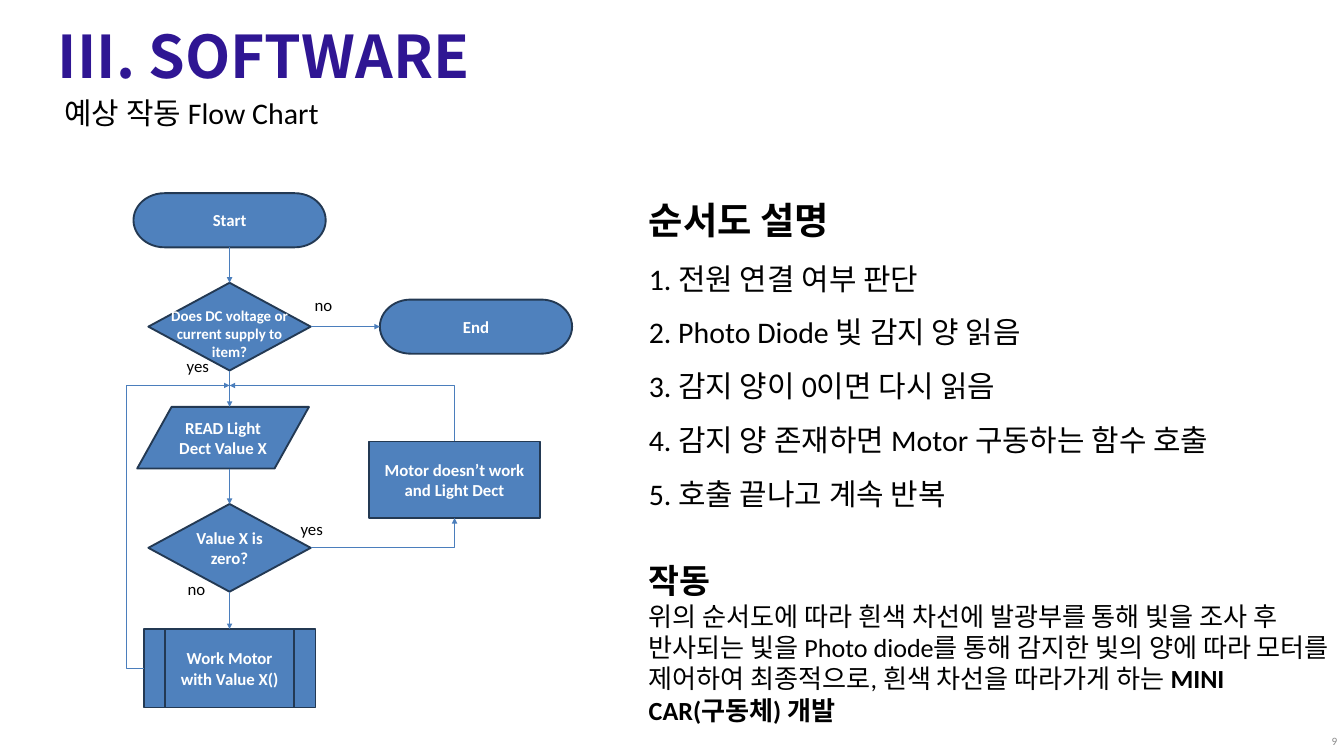
from pptx import Presentation
from pptx.dml.color import RGBColor
from pptx.enum.shapes import MSO_CONNECTOR as CONN, MSO_SHAPE as SHAPE
from pptx.enum.text import MSO_ANCHOR as ANCHOR, MSO_AUTO_SIZE as FIT, PP_ALIGN as ALIGN
from pptx.oxml.ns import qn
from pptx.util import Pt
from lxml import etree

COLORS = {
    "title": "2F1693", "text": "000000", "node": "4F81BD", "border": "233953",
    "arrow": "4B7EBC", "white": "FFFFFF", "number": "8C8C8C",
}
STEPS = [
    "1. 전원 연결 여부 판단",
    "2. Photo Diode 빛 감지 양 읽음",
    "3. 감지 양이 0이면 다시 읽음",
    "4. 감지 양 존재하면 Motor 구동하는 함수 호출",
    "5. 호출 끝나고 계속 반복",
]


def rgb(name):
    return RGBColor.from_string(COLORS[name])


def add_run(p, text, size, color="text", bold=False, font="Calibri"):
    r = p.add_run()
    r.text = text
    for name, value in {"size": Pt(size), "bold": bold, "name": font}.items():
        setattr(r.font, name, value)
    r.font.color.rgb = rgb(color)


def set_box(sp, box):
    for name, value in zip(("left", "top", "width", "height"), box):
        setattr(sp, name, Pt(value))


def add_text(slide, box, text, size, color="text", bold=False, align=ALIGN.LEFT,
             wrap=True, anchor=ANCHOR.TOP):
    tf = slide.shapes.add_textbox(*map(Pt, box)).text_frame
    tf.word_wrap, tf.vertical_anchor = wrap, anchor
    p = tf.paragraphs[0]
    p.alignment = align
    add_run(p, text, size, color, bold)
    return tf


def add_title(slide, box):
    sp = slide.shapes.title
    set_box(sp, box)
    tf = sp.text_frame
    values = {"margin_left": 0, "margin_right": 0, "margin_top": 0, "margin_bottom": 0,
              "vertical_anchor": ANCHOR.TOP, "auto_size": FIT.NONE, "word_wrap": True}
    for name, value in values.items():
        setattr(tf, name, value)
    p = tf.paragraphs[0]
    p.alignment, p.line_spacing = ALIGN.LEFT, Pt(70)
    add_run(p, "III. SOFTWARE", 63, "title", True, "Noto Sans CJK KR")


def add_steps(slide, box):
    sp = slide.placeholders[1]
    set_box(sp, box)
    tf = sp.text_frame
    tf.word_wrap, tf.auto_size = False, FIT.NONE
    for i, text in enumerate(["순서도 설명"] + STEPS):
        p = tf.add_paragraph() if i else tf.paragraphs[0]
        pPr = p._p.get_or_add_pPr()
        pPr.set("marL", "0")
        pPr.set("indent", "0")
        etree.SubElement(pPr, qn("a:buNone"))
        p.line_spacing, p.space_before = 1.5, Pt(0)
        add_run(p, text, 32 if i else 40, bold=i == 0)


def add_operation(slide, box):
    tf = add_text(slide, box, "작동", 36, bold=True)
    p = tf.add_paragraph()
    add_run(p, "위의 순서도에 따라 흰색 차선에 발광부를 통해 빛을 조사 후 반사되는 빛을 "
               "Photo diode를 통해 감지한 빛의 양에 따라 모터를 제어하여 최종적으로, "
               "흰색 차선을 따라가게 하는 ", 28)
    add_run(p, "MINI CAR(구동체) 개발", 28, bold=True)


def add_node(slide, kind, box, text):
    sp = slide.shapes.add_shape(kind, *map(Pt, box))
    sp.shadow.inherit = False
    sp.fill.solid()
    sp.fill.fore_color.rgb = rgb("node")
    sp.line.color.rgb = rgb("border")
    sp.line.width = Pt(2)
    tf = sp.text_frame
    tf.word_wrap, tf.vertical_anchor = True, ANCHOR.MIDDLE
    if text:
        p = tf.paragraphs[0]
        p.alignment = ALIGN.CENTER
        add_run(p, text, 18, "white", True)
    return sp


def add_arrow(slide, start, end, geometry="line", adjust=(), tip="tailEnd"):
    kind = CONN.STRAIGHT if geometry == "line" else CONN.ELBOW
    cn = slide.shapes.add_connector(kind, *map(Pt, start + end))
    cn.line.color.rgb = rgb("arrow")
    cn.line.width = Pt(0.75)
    spPr = cn._element.spPr
    etree.SubElement(cn.line._get_or_add_ln(), qn(f"a:{tip}"), type="triangle")
    etree.SubElement(spPr, qn("a:effectLst"))
    geom = spPr.find(qn("a:prstGeom"))
    geom.set("prst", geometry)
    for i, value in enumerate(adjust, 1):
        etree.SubElement(geom.find(qn("a:avLst")), qn("a:gd"),
                         name=f"adj{i}", fmla=f"val {value}")
    return cn


def add_flowchart(slide, left, top):
    def at(x, y, *size):
        return (left + x, top + y) + size

    mid = 103
    merge = at(mid, 206)
    nodes = {
        "start": (SHAPE.FLOWCHART_TERMINATOR, at(0, 0, 206, 58), "Start"),
        "end": (SHAPE.FLOWCHART_TERMINATOR, at(264, 114, 206, 58), "End"),
        "power": (SHAPE.DIAMOND, at(16, 96, 174, 94), ""),
        "read": (SHAPE.FLOWCHART_DATA, at(4, 229, 184, 66), "READ Light Dect Value X"),
        "zero": (SHAPE.DIAMOND, at(16, 333, 174, 94), "Value X is zero?"),
        "idle": (SHAPE.RECTANGLE, at(252, 266, 184, 82), "Motor doesn’t work and Light Dect"),
        "work": (SHAPE.FLOWCHART_PREDEFINED_PROCESS, at(11, 467, 184, 84),
                 "Work Motor with Value X()"),
    }
    sps = {name: add_node(slide, *node) for name, node in nodes.items()}
    add_text(slide, at(24, 118, 158, 87), "Does DC voltage or current supply to item?",
             16, "white", True, ALIGN.CENTER)

    straight = [
        ("start", 2, "power", 0, at(mid, 58), at(mid, 96)),
        ("power", 2, None, 0, at(mid, 190), at(mid, 229)),
        (None, 2, "zero", 0, at(mid, 295), at(mid, 333)),
        ("zero", 2, "work", 0, at(mid, 427), at(mid, 467)),
        ("power", 3, "end", 1, at(190, 143), at(264, 143)),
    ]
    for source, out, target, into, start, end in straight:
        cn = add_arrow(slide, start, end)
        if source:
            cn.begin_connect(sps[source], out)
        if target:
            cn.end_connect(sps[target], into)

    add_arrow(slide, at(190, 380), at(344, 348), "bentConnector2")
    add_arrow(slide, merge, at(344, 266), "bentConnector2", tip="headEnd")
    add_arrow(slide, at(11, 509), merge, "bentConnector4", (-19700, 100000))

    for text, x, y in (("yes", 50, 171), ("no", 187, 105), ("yes", 172, 345), ("no", 51, 410)):
        add_text(slide, at(x, y, 39, 29), text, 18, wrap=False)


def main():
    prs = Presentation()
    prs.slide_width, prs.slide_height = Pt(1440), Pt(810)
    slide = prs.slides.add_slide(prs.slide_layouts[1])
    add_title(slide, (62, 27, 686, 71))
    add_text(slide, (62, 98, 1036, 46), "예상 작동 Flow Chart", 32)
    add_flowchart(slide, 143, 207)
    add_steps(slide, (688, 184, 659, 364))
    add_operation(slide, (688, 596, 752, 186))
    add_text(slide, (1272, 779, 168, 29), "9", 12, "number",
             align=ALIGN.RIGHT, anchor=ANCHOR.MIDDLE)
    prs.save("out.pptx")


if __name__ == "__main__":
    main()
